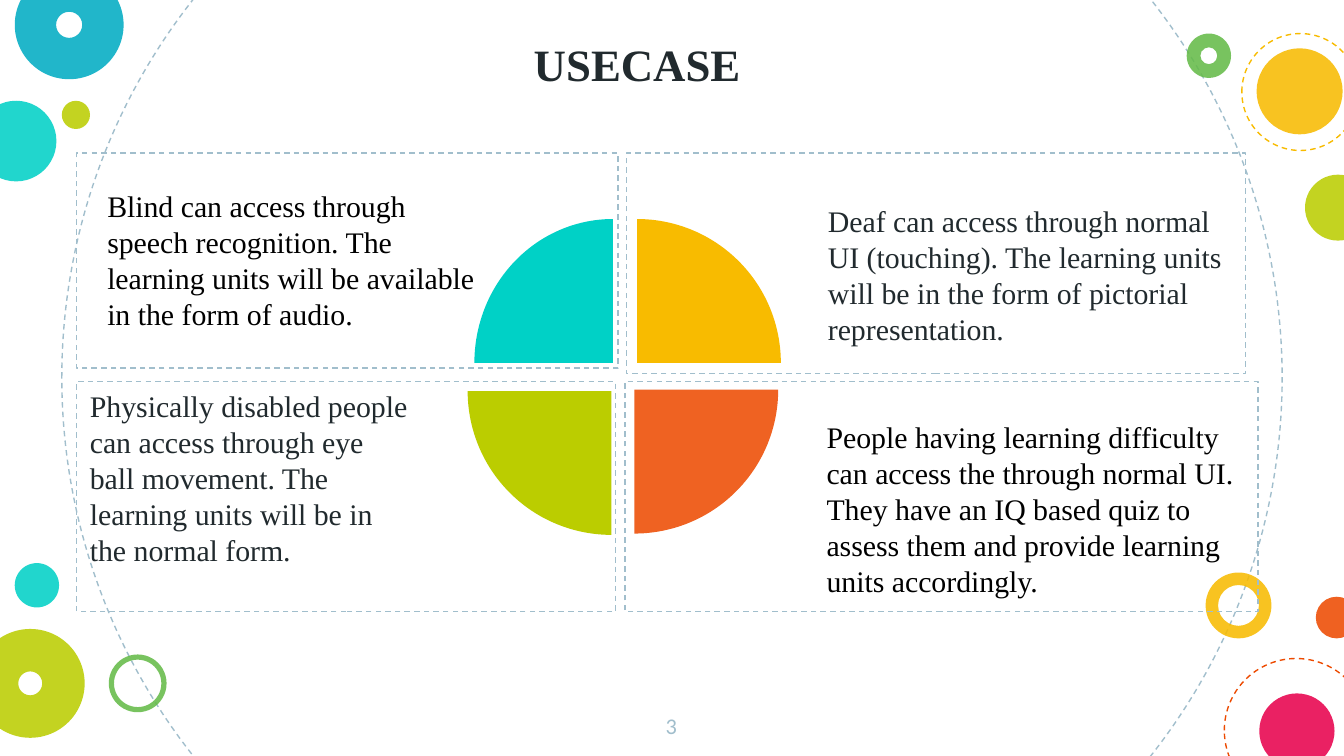
from lxml import etree
from pptx import Presentation
from pptx import util as u
from pptx.dml.color import RGBColor
from pptx.enum import dml, shapes, text
from pptx.oxml.ns import qn

TURQUOISE = RGBColor(0x00, 0xD1, 0xC6)
BLUE = RGBColor(0x00, 0xAC, 0xC3)
LIME = RGBColor(0xBB, 0xCD, 0x00)
GREEN = RGBColor(0x65, 0xBB, 0x48)
YELLOW = RGBColor(0xF8, 0xBB, 0x00)
ORANGE = RGBColor(0xED, 0x4A, 0x00)
SOFT_ORANGE = RGBColor(0xEF, 0x62, 0x22)
PINK = RGBColor(0xE8, 0x00, 0x4C)
GREY = RGBColor(0xA1, 0xBE, 0xCC)
INK = RGBColor(0x21, 0x2A, 0x2E)
BLACK = RGBColor(0x00, 0x00, 0x00)

SERIF = "Times New Roman"
KIND = shapes.MSO_SHAPE
ANCHOR = text.MSO_ANCHOR

# left, top, diameter, colour
RINGS = [(0.46, -1.73, 9.08, GREY), (9.11, 4.9, 1.07, ORANGE), (9.24, 0.25, 0.87, YELLOW)]
DISCS = [
    (-0.18, 0.75, 0.6, TURQUOISE), (0.46, 0.75, 0.21, LIME), (9.79, 4.44, 0.31, ORANGE),
    (9.37, 5.16, 0.56, PINK), (9.35, 0.36, 0.64, YELLOW), (9.71, 1.3, 0.49, LIME),
    (0.11, 4.19, 0.33, TURQUOISE),
]
# left, top, diameter, colour, ring thickness
DONUTS = [
    (8.97, 4.26, 0.49, YELLOW, 0.19), (0.11, -0.22, 0.81, BLUE, 0.38),
    (0.81, 4.87, 0.43, GREEN, 0.09), (-0.18, 4.68, 0.81, LIME, 0.39),
    (8.83, 0.25, 0.33, GREEN, 0.31),
]
# left, top, width, height, colour; each is turned a further quarter
QUARTERS = [
    (3.53, 1.63, 2.06, 2.14, TURQUOISE), (3.67, 1.63, 2.14, 2.14, YELLOW),
    (3.65, 1.83, 2.14, 2.14, SOFT_ORANGE), (3.48, 1.84, 2.14, 2.14, LIME),
]
BLIND = ("Blind can access through speech recognition. The learning units "
         "will be available in the form of audio.")
DEAF = ("Deaf can access through normal UI (touching). The learning units "
        "will be in the form of pictorial representation.")
DISABLED = ("Physically disabled people can access through eye ball movement. "
            "The learning units will be in the normal form.")
LEARNING = ("People having learning difficulty can access the through normal UI. "
            "They have an IQ based quiz to assess them and provide learning "
            "units accordingly.")


def inches(*lengths):
    return [u.Inches(length) for length in lengths]


def add_filled(slide, kind, box, colour, opacity=None):
    shape = slide.shapes.add_shape(kind, *inches(*box))
    shape.shadow.inherit = False
    shape.fill.solid()
    shape.fill.fore_color.rgb = colour
    shape.line.fill.background()
    if opacity is not None:
        rgb = shape.fill._xPr.find(qn("a:solidFill")).find(qn("a:srgbClr"))
        etree.SubElement(rgb, qn("a:alpha")).set("val", str(opacity * 1000))
    return shape


def add_dashed(slide, kind, box, colour):
    shape = slide.shapes.add_shape(kind, *inches(*box))
    shape.shadow.inherit = False
    shape.fill.background()
    shape.line.color.rgb = colour
    shape.line.width = u.Pt(0.75)
    shape.line.dash_style = dml.MSO_LINE.DASH
    return shape


def write(shape, words, size, colour, insets, anchor=ANCHOR.TOP, font=SERIF,
          align=text.PP_ALIGN.LEFT, bold=False):
    """Fill a shape with one paragraph; insets run left, top, right, bottom."""
    frame = shape.text_frame
    frame.text = words
    frame.word_wrap = True
    frame.auto_size = text.MSO_AUTO_SIZE.NONE
    frame.vertical_anchor = anchor
    (frame.margin_left, frame.margin_top,
     frame.margin_right, frame.margin_bottom) = inches(*insets)
    paragraph = frame.paragraphs[0]
    paragraph.alignment = align
    run_font = paragraph.runs[0].font
    run_font.name = font
    run_font.size = u.Pt(size)
    run_font.bold = bold
    run_font.color.rgb = colour


def add_decoration(slide):
    for left, top, size, colour in RINGS:
        add_dashed(slide, KIND.OVAL, (left, top, size, size), colour)
    for left, top, size, colour in DISCS:
        add_filled(slide, KIND.OVAL, (left, top, size, size), colour, 87)
    for left, top, size, colour, thickness in DONUTS:
        donut = add_filled(slide, KIND.DONUT, (left, top, size, size), colour, 87)
        donut.adjustments[0] = thickness


def add_title(slide):
    title = slide.shapes.title
    title.left, title.top, title.width, title.height = inches(0.33, 0.07, 8.82, 0.7)
    write(title, "USECASE", 24, INK, (0.1,) * 4, ANCHOR.BOTTOM,
          align=text.PP_ALIGN.CENTER, bold=True)


def add_panels(slide):
    add_dashed(slide, KIND.RECTANGLE, (0.57, 1.14, 4.03, 1.6), GREY)
    panels = [
        ((4.66, 1.14, 4.61, 1.64), DEAF, INK, (1.5, 0.37, 0.1, 0.1), ANCHOR.TOP),
        ((0.57, 2.84, 4.01, 1.71), DISABLED, INK, (0.1, 0.1, 1.5, 0.33), ANCHOR.BOTTOM),
        ((4.65, 2.84, 4.71, 1.71), LEARNING, BLACK, (1.5, 0.1, 0.1, 0.1), ANCHOR.BOTTOM),
    ]
    for box, words, colour, insets, anchor in panels:
        panel = add_dashed(slide, KIND.RECTANGLE, box, GREY)
        write(panel, words, 16, colour, insets, anchor)
    blind = slide.shapes.add_textbox(*inches(0.7, 1.35, 2.94, 1.18))
    write(blind, BLIND, 16, BLACK, (0.1, 0.05, 0.1, 0.05))


def add_quarters(slide):
    for turn, (*box, colour) in enumerate(QUARTERS):
        quarter = add_filled(slide, KIND.PIE, box, colour)
        # Start and end angles: 180 and 270 degrees
        quarter.adjustments[0] = 108
        quarter.adjustments[1] = 162
        quarter.rotation = 90 * turn


def add_page_number(slide):
    number = slide.shapes.add_textbox(*inches(4.74, 5.2, 0.51, 0.43))
    write(number, "3", 12, GREY, (0.1,) * 4, font="Calibri",
          align=text.PP_ALIGN.CENTER)


def main():
    presentation = Presentation()
    presentation.slide_width = u.Inches(10)
    presentation.slide_height = u.Inches(10 * 9 / 16)
    slide = presentation.slides.add_slide(presentation.slide_layouts[5])
    add_decoration(slide)
    add_page_number(slide)
    add_panels(slide)
    add_quarters(slide)
    add_title(slide)
    presentation.save("out.pptx")


if __name__ == "__main__":
    main()
